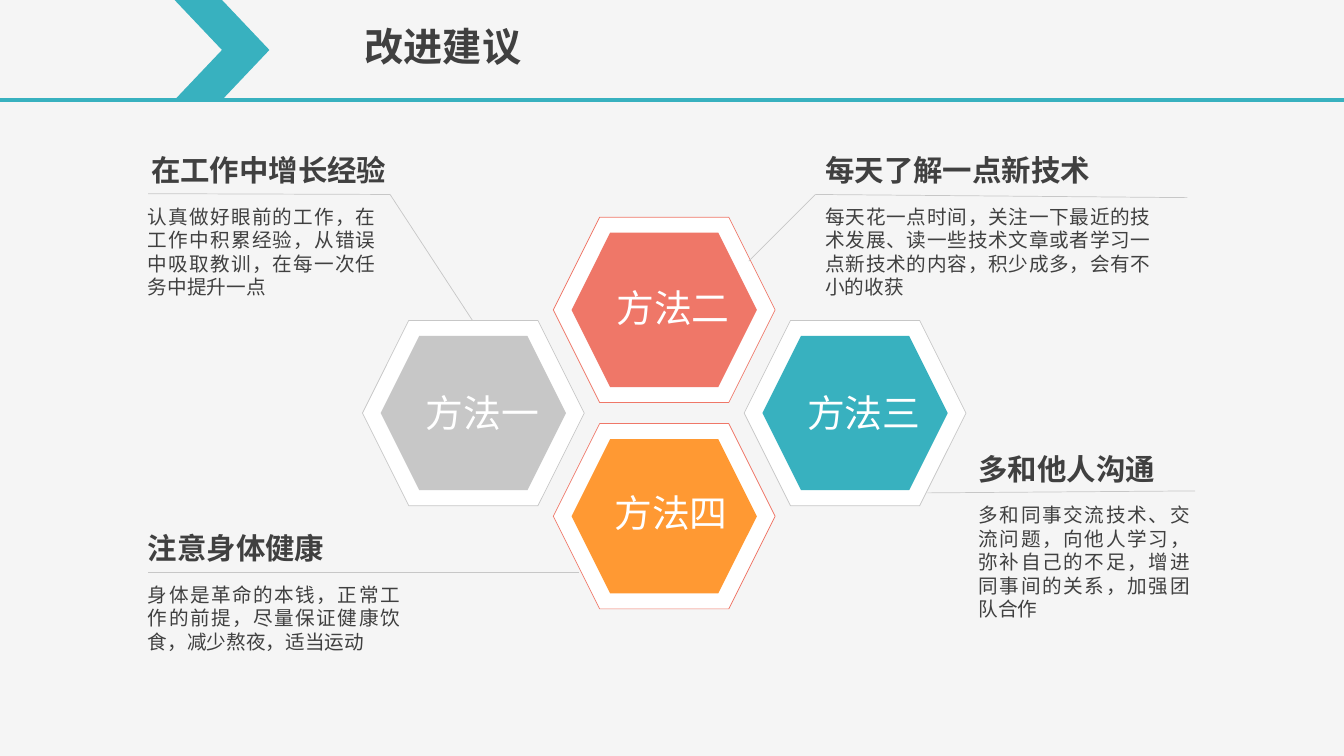
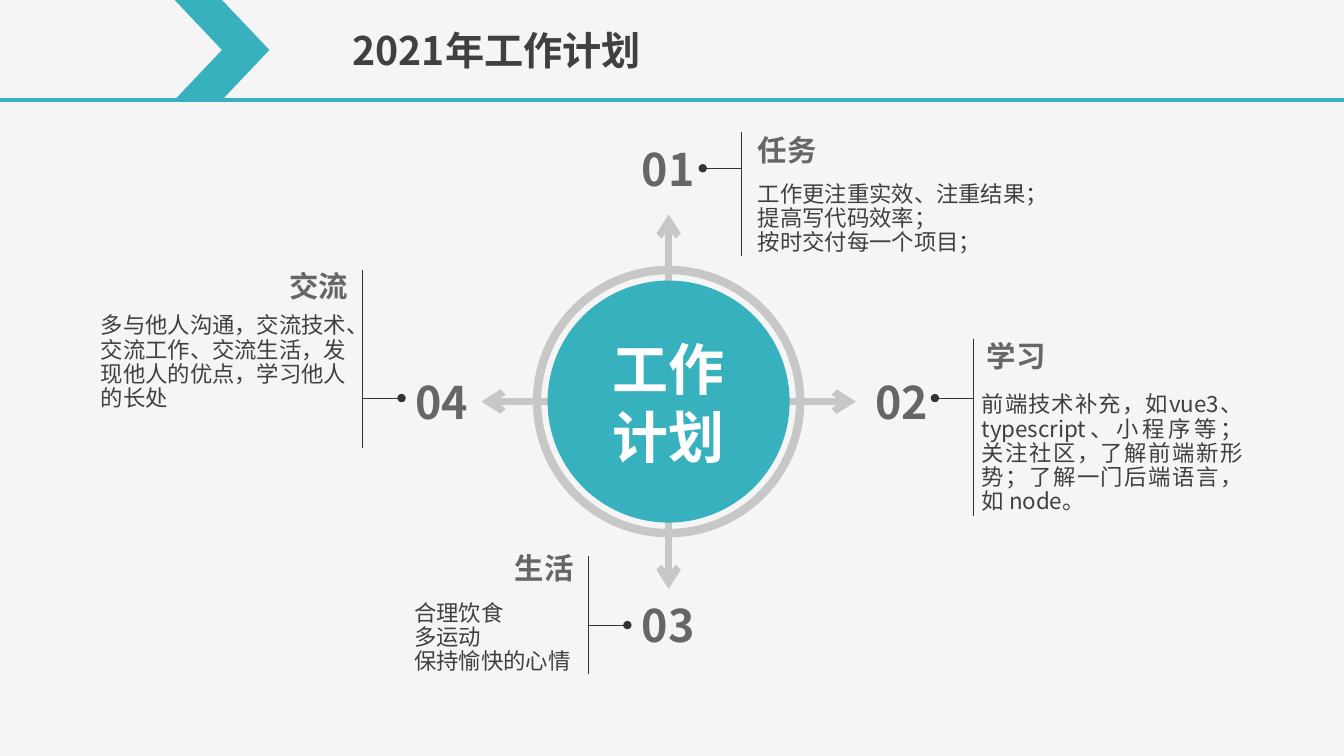
import itertools

import lxml.etree
import pptx
import pptx.dml.color
import pptx.enum.lang
import pptx.enum.shapes
import pptx.enum.text
import pptx.oxml.ns
import pptx.util

SHAPE = pptx.enum.shapes.MSO_SHAPE
ALIGN = pptx.enum.text.PP_ALIGN
FONT = "Noto Sans CJK SC"
TEAL, GREY, CORAL, ORANGE = "38B1BF", "C7C7C7", "EF7768", "FF9933"
WHITE, PAPER, INK, SLATE, LINE = "FFFFFF", "F5F5F5", "404040", "666666", "333333"
WIDE, TIGHT, PLAIN = (0.33, 0.18), (0, 0), (0.25, 0.13)

# All lengths are in centimetres.
TITLES = [("改进建议", 8.94, 0.43), ("2021年工作计划", 8.64, 0.53)]

# label, column, row, fill, outline, label shift
HEX_MID, HEX_STEP = (16.74, 10.41), (4.81, 2.6)
HEXES = [
    ("方法二", 0, -1, CORAL, CORAL, (0.2, -0.05)),
    ("方法一", -1, 0, GREY, GREY, (0.2, 0)),
    ("方法四", 0, 1, ORANGE, CORAL, (0.15, -0.08)),
    ("方法三", 1, 0, TEAL, GREY, (0.2, 0)),
]

# heading, heading left, body, body left, top, body width, body height
TIPS = [
    ("在工作中增长经验", 3.48,
     "认真做好眼前的工作，在工作中积累经验，从错误中吸取教训，在每一次任务中提升一点",
     3.4, 3.66, 6.4, 2.74),
    ("每天了解一点新技术", 20.47,
     "每天花一点时间，关注一下最近的技术发展、读一些技术文章或者学习一点新技术的内容，积少成多，会有不小的收获",
     20.47, 3.66, 8.86, 2.74),
    ("注意身体健康", 3.4,
     "身体是革命的本钱，正常工作的前提，尽量保证健康饮食，减少熬夜，适当运动",
     3.4, 13.18, 7.01, 2.13),
    ("多和他人沟通", 24.33,
     "多和同事交流技术、交流问题，向他人学习，弥补自己的不足，增进同事间的关系，加强团队合作",
     24.33, 11.18, 5.99, 3.33),
]
LEADERS = [
    [(3.73, 4.88), (9.83, 4.9), (11.91, 8.08)],
    [(29.92, 4.98), (20.55, 4.9), (18.87, 6.58)],
    [(3.73, 14.43), (14.6, 14.43)],
    [(30.12, 12.37), (23.37, 12.42)],
]

HUB = (16.85, 10.12)
# side is 1 where the text stands right of its rule, -1 where it stands left
PLANS = [
    dict(num="01", spot=(15.95, 3.56), side=1, rule=(18.69, 3.33, 6.45), stub=4.24,
         head="任务", at=(19.1, 3.33), body=(19.1, 4.6, 7.04, 1.83), align=ALIGN.LEFT,
         text="工作更注重实效、注重结果；\n提高写代码效率；\n按时交付每一个项目；"),
    dict(num="02", spot=(21.84, 9.45), side=1, rule=(24.54, 8.53, 13), stub=10.03,
         head="学习", at=(24.87, 8.53), body=(24.74, 9.91, 6.58, 3.02), align=ALIGN.JUSTIFY,
         text="前端技术补充，如vue3、typescript、小程序等；关注社区，"
              "了解前端新形势；了解一门后端语言，如 node。"),
    dict(num="03", spot=(15.95, 15.06), side=-1, rule=(14.83, 14.02, 16.99), stub=15.75,
         head="生活", at=(9.3, 13.87), body=(10.44, 15.16, 4.39, 1.83), align=ALIGN.LEFT,
         text="合理饮食\n多运动\n保持愉快的心情"),
    dict(num="04", spot=(10.24, 9.45), side=-1, rule=(9.14, 6.81, 11.28), stub=10.03,
         head="交流", at=(3.61, 6.76), body=(2.54, 7.92, 6.63, 2.41), align=ALIGN.LEFT,
         text="多与他人沟通，交流技术、交流工作、交流生活，发现他人的优点，学习他人的长处"),
]


def color(code):
    return pptx.dml.color.RGBColor.from_string(code)


def metric(values):
    return [pptx.util.Cm(value) for value in values]


def center(mid, size):
    """Return left, top, width and height of a box around a middle point."""
    return (mid[0] - size[0] / 2, mid[1] - size[1] / 2, *size)


def shape(slide, kind, box, fill=None, edge=None, weight=0.5):
    item = slide.shapes.add_shape(kind, *metric(box))
    item.shadow.inherit = False
    if fill:
        item.fill.solid()
        item.fill.fore_color.rgb = color(fill)
    else:
        item.fill.background()
    if edge:
        item.line.color.rgb = color(edge)
        item.line.width = pptx.util.Pt(weight)
    else:
        item.line.fill.background()
    return item


def line(slide, start, end, tint, weight, tip=None):
    """Draw a straight line, with an optional arrowhead at its end."""
    kind = pptx.enum.shapes.MSO_CONNECTOR.STRAIGHT
    item = slide.shapes.add_connector(kind, *metric((*start, *end)))
    item.line.color.rgb = color(tint)
    item.line.width = pptx.util.Pt(weight)
    props = item.element.spPr
    if tip:
        mark = lxml.etree.SubElement(props.get_or_add_ln(), pptx.oxml.ns.qn("a:tailEnd"))
        mark.set("type", tip)
    lxml.etree.SubElement(props, pptx.oxml.ns.qn("a:effectLst"))
    return item


def write(slide, text, box, size, tint, bold=False, align=ALIGN.LEFT,
          inset=PLAIN, wrap=True, space=None):
    item = slide.shapes.add_textbox(*metric(box))
    frame = item.text_frame
    frame.word_wrap = wrap
    frame.auto_size = pptx.enum.text.MSO_AUTO_SIZE.SHAPE_TO_FIT_TEXT
    frame.margin_left = frame.margin_right = pptx.util.Cm(inset[0])
    frame.margin_top = frame.margin_bottom = pptx.util.Cm(inset[1])
    frame.text = text
    for para in frame.paragraphs:
        para.alignment = align
        if space:
            para.line_spacing = pptx.util.Pt(space)
        for run in para.runs:
            font = run.font
            font.name, font.size, font.bold = FONT, pptx.util.Pt(size), bold
            font.color.rgb = color(tint)
            font.language_id = pptx.enum.lang.MSO_LANGUAGE_ID.SIMPLIFIED_CHINESE
            east = lxml.etree.SubElement(run.font._element, pptx.oxml.ns.qn("a:ea"))
            east.set("typeface", FONT)


def brand(layout, slide):
    """Give the layout its background and band, drawn first on a slide."""
    layout.background.fill.solid()
    layout.background.fill.fore_color.rgb = color(PAPER)
    for holder in list(layout.placeholders):
        layout.shapes.element.remove(holder.element)
    band = [
        line(slide, (0, 2.52), (33.87, 2.52), TEAL, 2.25),
        shape(slide, SHAPE.CHEVRON, (4.4, 0, 2.39, 2.52), TEAL),
    ]
    for item in band:
        layout.shapes.element.append(item.element)


def advice(slide):
    for label, col, row, fill, edge, shift in HEXES:
        mid = (HEX_MID[0] + col * HEX_STEP[0], HEX_MID[1] + row * HEX_STEP[1])
        shape(slide, SHAPE.HEXAGON, center(mid, (5.59, 4.67)), WHITE, edge)
        shape(slide, SHAPE.HEXAGON, center(mid, (4.67, 3.89)), fill)
        spot = (mid[0] + shift[0], mid[1] + shift[1])
        write(slide, label, center(spot, (3.4, 1.42)), 27, WHITE,
              align=ALIGN.RIGHT, wrap=False)
    for head, left, body, edge, top, width, height in TIPS:
        write(slide, head, (left, top, 7.44, 1.24), 21, INK, True, inset=WIDE)
        write(slide, body, (edge, top + 1.32, width, height), 14, INK,
              align=ALIGN.JUSTIFY, inset=WIDE)
    for points in LEADERS:
        for start, end in itertools.pairwise(points):
            line(slide, start, end, GREY, 0.5)


def plan(slide):
    shape(slide, SHAPE.OVAL, center(HUB, (6.63, 6.63)), None, GREY, 6)
    for across, down in [(0, -1), (0, 1), (1, 0), (-1, 0)]:
        start, end = [(HUB[0] + across * reach, HUB[1] + down * reach)
                      for reach in (2.64, 4.72)]
        line(slide, start, end, GREY, 5, "arrow")
    for part in PLANS:
        side, (pole, top, foot), stub = part["side"], part["rule"], part["stub"]
        write(slide, part["num"], (*part["spot"], 1.78, 1.37), 32, SLATE, True,
              ALIGN.CENTER, TIGHT)
        write(slide, part["head"], (*part["at"], 5.16, 0.89), 21, SLATE, True,
              ALIGN.LEFT if side > 0 else ALIGN.RIGHT, TIGHT)
        write(slide, part["text"], part["body"], 16, INK, align=part["align"],
              inset=TIGHT, space=17.3)
        line(slide, (pole, top), (pole, foot), LINE, 0.75)
        line(slide, (pole, stub), (pole - side * 0.98, stub), LINE, 0.75, "oval")
    shape(slide, SHAPE.OVAL, center(HUB, (6.1, 6.1)), TEAL)
    write(slide, "工作计划", (14.63, 8.26, 4.45, 3.76), 40, WHITE, True,
          ALIGN.CENTER, WIDE)


def main():
    deck = pptx.Presentation()
    deck.slide_width, deck.slide_height = metric((33.87, 19.05))
    blank = deck.slide_layouts[6]
    slides = [deck.slides.add_slide(blank) for _ in TITLES]
    brand(blank, slides[0])
    for slide, draw, (title, left, top) in zip(slides, (advice, plan), TITLES):
        draw(slide)
        write(slide, title, (left, top, 11.33, 1.45), 28, INK, True)
    deck.save("out.pptx")


if __name__ == "__main__":
    main()
